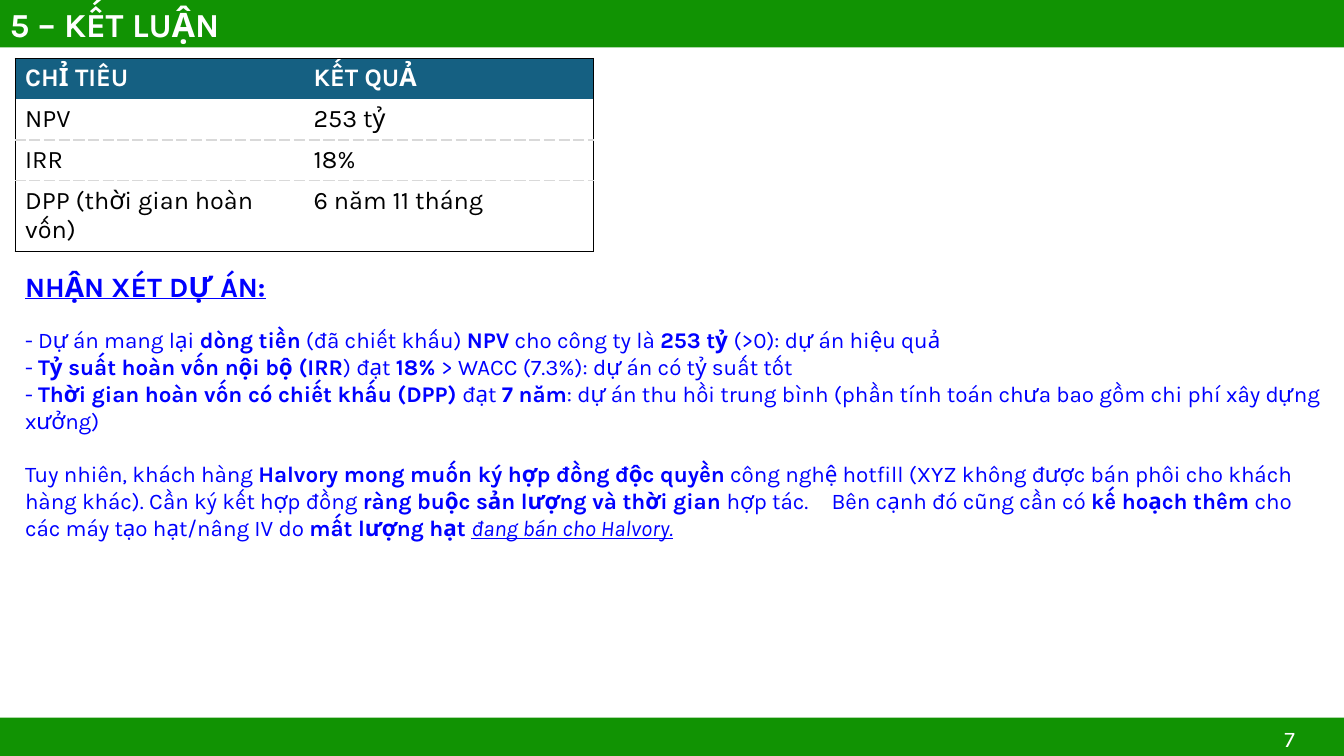
from lxml.etree import SubElement
from pptx import Presentation
from pptx.dml.color import RGBColor
from pptx.enum.shapes import MSO_SHAPE
from pptx.enum.text import MSO_ANCHOR, PP_ALIGN
from pptx.oxml.ns import qn
from pptx.util import Inches, Pt

FONT = "Karla"
GREEN, TEAL, BLUE = "119303", "156082", "0000FF"
WHITE, BLACK, GREY = "FFFFFF", "000000", "D9D9D9"
SLIDE_W, SLIDE_H = 13.33, 7.5

RESULTS = [
    ("CHỈ TIÊU", "KẾT QUẢ"),
    ("NPV", "253 tỷ"),
    ("IRR", "18%"),
    ("DPP (thời gian hoàn vốn)", "6 năm 11 tháng"),
]
HEADING = "NHẬN XÉT DỰ ÁN:"
REMARKS = [
    (17, "- Dự án mang lại **dòng tiền** (đã chiết khấu) **NPV** cho công ty là "
         "**253 tỷ **(>0): dự án hiệu quả"),
    (0, "- **Tỷ suất hoàn vốn nội bộ (IRR**) đạt **18% **> WACC (7.3%): "
        "dự án có tỷ suất tốt"),
    (0, "- **Thời gian hoàn vốn có chiết khấu (DPP) **đạt **7 năm**: dự án thu hồi "
        "trung bình (phần tính toán chưa bao gồm chi phí xây dựng xưởng)"),
    (19, "Tuy nhiên, khách hàng **Halvory mong muốn ký hợp đồng độc quyền** công nghệ "
         "hotfill (XYZ không được bán phôi cho khách hàng khác). Cần ký kết hợp đồng "
         "**ràng buộc sản lượng và thời gian **hợp tác.\tBên cạnh đó cũng cần có "
         "**kế hoạch thêm **cho các máy tạo hạt/nâng IV do **mất lượng hạt **"),
]
CLOSING = "đang bán cho Halvory."


def rgb(value):
    """Return the colour for a hex string."""
    return RGBColor.from_string(value)


def style(r, size, color, bold=False, italic=False, underline=False):
    """Format one run."""
    r.font.name = FONT
    r.font.size = Pt(size)
    r.font.color.rgb = rgb(color)
    r.font.bold = bold
    r.font.italic = italic
    r.font.underline = underline


def add_run(p, text, *args, **kwargs):
    """Append a formatted run to a paragraph."""
    r = p.add_run()
    r.text = text
    style(r, *args, **kwargs)


def add_bar(s, x, y, w, h):
    """Draw a green bar and return it."""
    sp = s.shapes.add_shape(MSO_SHAPE.RECTANGLE, Inches(x), Inches(y), Inches(w), Inches(h))
    sp.shadow.inherit = False
    sp.fill.solid()
    sp.fill.fore_color.rgb = rgb(GREEN)
    sp.line.fill.background()
    return sp


def add_text_box(s, x, y, w, h):
    """Add a wrapping text box and return its text frame."""
    tf = s.shapes.add_textbox(Inches(x), Inches(y), Inches(w), Inches(h)).text_frame
    tf.word_wrap = True
    return tf


def add_header(s, x, y, w, h):
    """Draw the title bar."""
    tf = add_bar(s, x, y, w, h).text_frame
    tf.vertical_anchor = MSO_ANCHOR.MIDDLE
    p = tf.paragraphs[0]
    p.alignment = PP_ALIGN.LEFT
    add_run(p, "5 – KẾT LUẬN", 24, WHITE, bold=True)


def add_footer(s, x, y, w, h):
    """Draw the bottom bar with the slide number."""
    add_bar(s, x, y, w, h)
    tf = add_text_box(s, x + w - 1, y + 0.05, 0.61, 0.31)
    tf.vertical_anchor = MSO_ANCHOR.MIDDLE
    p = tf.paragraphs[0]
    p.alignment = PP_ALIGN.RIGHT
    add_run(p, "7", 16, WHITE)


def set_border(cell, side, color=None, dash="solid"):
    """Set one side of a cell's border, or hide it when no colour is given."""
    ln = SubElement(cell._tc.get_or_add_tcPr(), qn(f"a:ln{side}"), w=str(Pt(1)))
    if color is None:
        SubElement(ln, qn("a:noFill"))
        return
    fill = SubElement(ln, qn("a:solidFill"))
    SubElement(fill, qn("a:srgbClr"), val=color)
    SubElement(ln, qn("a:prstDash"), val=dash)


def add_results_table(s, x, y, w, h):
    """Draw the table of results with a frame and dashed row rules."""
    n = len(RESULTS)
    table = s.shapes.add_table(n, 2, Inches(x), Inches(y), Inches(w), Inches(h)).table
    table.horz_banding = False
    table.columns[0].width = Inches(2.86)
    table.columns[1].width = Inches(w - 2.86)
    frame, rule, none = (BLACK,), (GREY, "sysDash"), ()
    for i, row in enumerate(RESULTS):
        table.rows[i].height = Inches(h / n)
        top = frame if i == 0 else none if i == 1 else rule
        bottom = frame if i == n - 1 else none if i == 0 else rule
        for j, text in enumerate(row):
            cell = table.cell(i, j)
            set_border(cell, "L", *(frame if j == 0 else none))
            set_border(cell, "R", *(frame if j == 1 else none))
            set_border(cell, "T", *top)
            set_border(cell, "B", *bottom)
            if i == 0:
                cell.fill.solid()
                cell.fill.fore_color.rgb = rgb(TEAL)
            else:
                cell.fill.background()
            cell.text_frame.text = text
            r = cell.text_frame.paragraphs[0].runs[0]
            style(r, 18, WHITE if i == 0 else BLACK, bold=i == 0)


def add_remarks(s, x, y, w, h):
    """Write the remarks, with bold parts between double asterisks."""
    tf = add_text_box(s, x, y, w, h)
    add_run(tf.paragraphs[0], HEADING, 20, BLUE, bold=True, underline=True)
    for gap, text in REMARKS:
        p = tf.add_paragraph()
        p.space_before = Pt(gap)
        for k, part in enumerate(text.split("**")):
            if part:
                add_run(p, part, 16, BLUE, bold=k % 2 == 1)
    add_run(p, CLOSING, 16, BLUE, italic=True, underline=True)


def main():
    """Build and save the slide."""
    prs = Presentation()
    prs.slide_width, prs.slide_height = Inches(SLIDE_W), Inches(SLIDE_H)
    s = prs.slides.add_slide(prs.slide_layouts[6])
    add_footer(s, 0, SLIDE_H - 0.38, SLIDE_W, 0.38)
    add_header(s, 0, 0, SLIDE_W, 0.47)
    add_results_table(s, 0.15, 0.58, 5.74, 1.62)
    add_remarks(s, 0.15, 2.62, 13.1, 2.56)
    prs.save("out.pptx")


if __name__ == "__main__":
    main()
